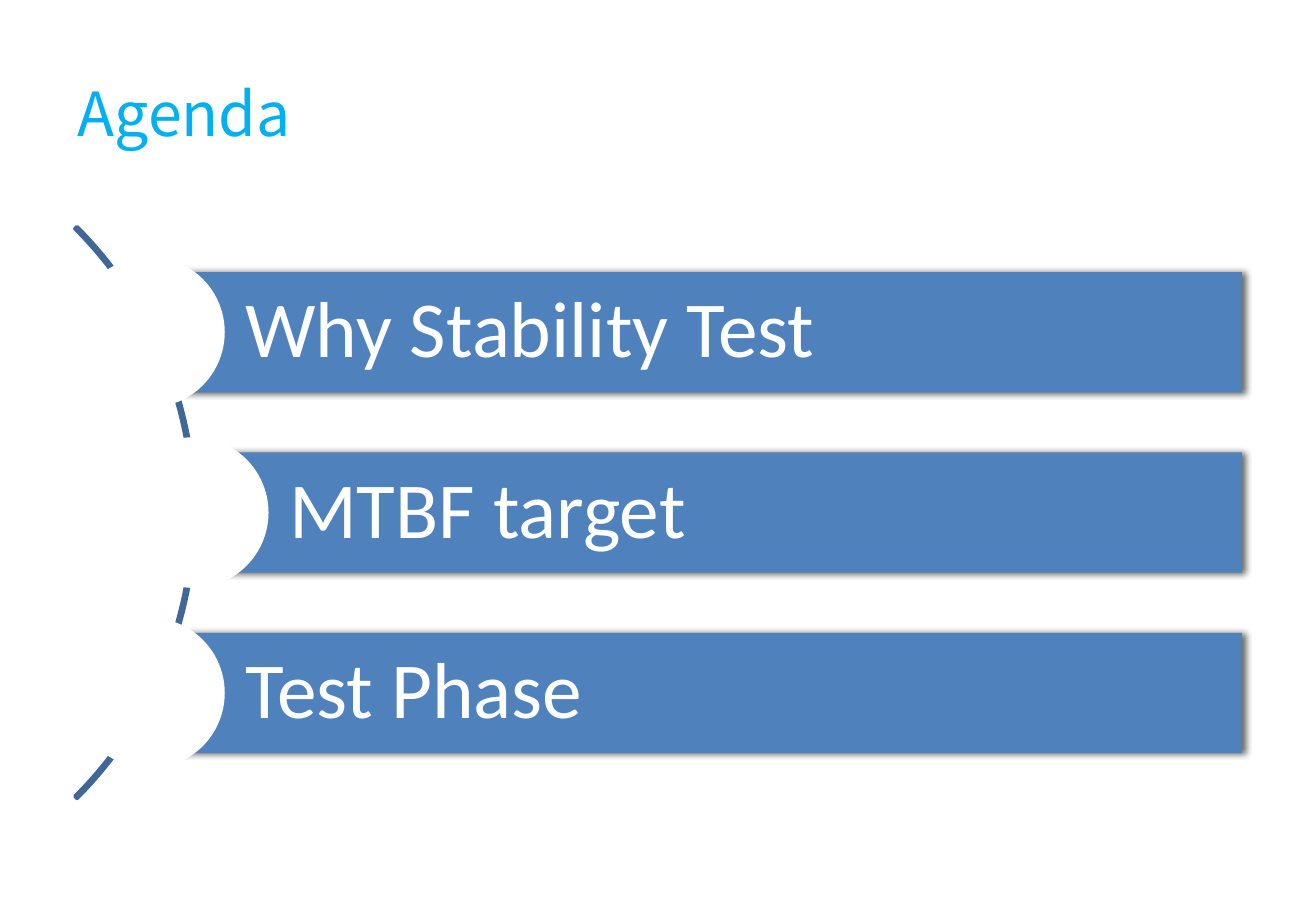
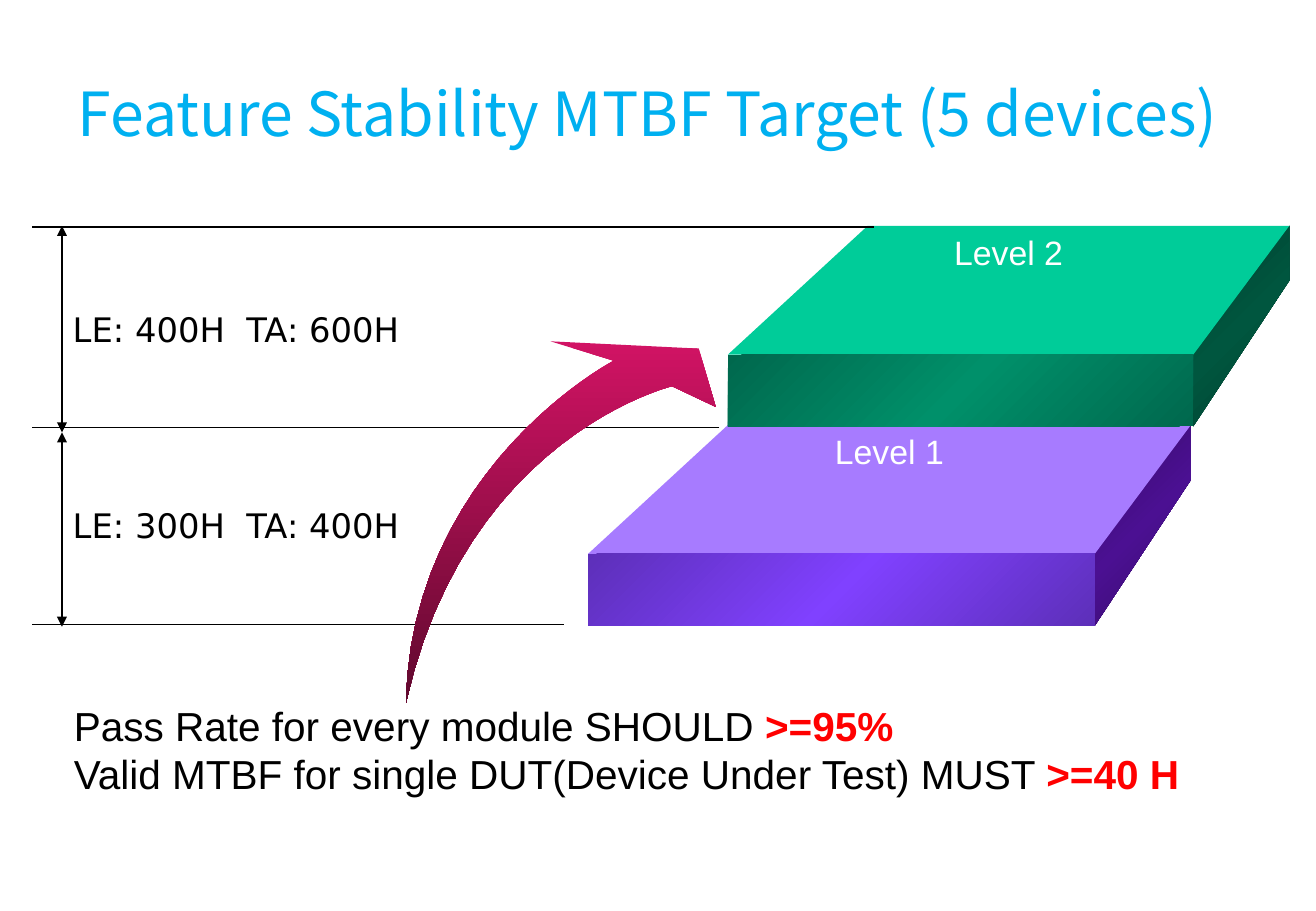
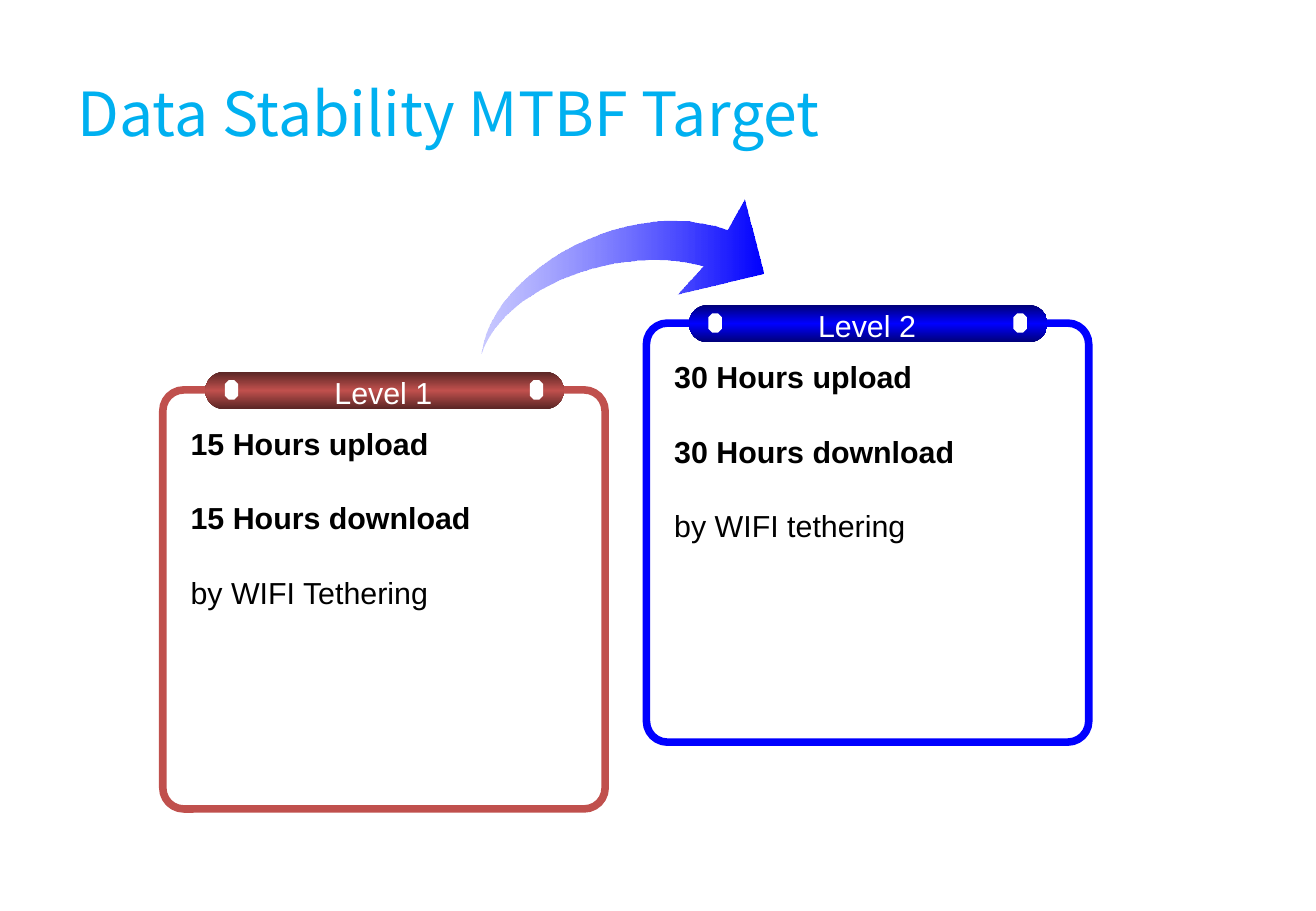
from dataclasses import dataclass
from typing import NamedTuple, Optional, Sequence

import pptx
import pptx.dml.color
import pptx.enum.shapes
import pptx.enum.text
import pptx.oxml
import pptx.oxml.ns
import pptx.util

ALIGN = pptx.enum.text.PP_ALIGN
ANCHOR = pptx.enum.text.MSO_ANCHOR
SHAPE = pptx.enum.shapes.MSO_SHAPE
TITLE_ONLY = 5

SLIDE_WIDTH = pptx.util.Inches(10.83)
SLIDE_HEIGHT = pptx.util.Inches(7.5)
ROWS = 75
CELL = SLIDE_HEIGHT / ROWS  # square grid cell: all lengths count cells


@dataclass(frozen=True)
class Theme:
    title_font: str = "Noto Sans CJK SC"
    agenda_font: str = "Calibri"
    body_font: str = "Arial"
    hours_font: str = "DejaVu Sans"
    title_size: int = 36
    agenda_size: int = 47
    note_size: int = 24
    level_size: int = 20
    card_size: int = 18
    title: str = "00B0F0"
    bar: str = "4F81BD"
    arc: str = "3F6797"
    white: str = "FFFFFF"
    black: str = "000000"
    alert: str = "FF0000"


THEME = Theme()


class Point(NamedTuple):
    x: float
    y: float


class Box(NamedTuple):
    left: float
    top: float
    width: float
    height: float


class Insets(NamedTuple):
    left: float = 1
    top: float = 0.5
    right: float = 1
    bottom: float = 0.5


class Run(NamedTuple):
    text: str
    bold: bool = False
    color: Optional[str] = None


class Stop(NamedTuple):
    position: int
    color: str
    opacity: int = 100


class Gradient(NamedTuple):
    stops: tuple[Stop, ...]
    angle: int


Fill = Optional[str | Gradient]
Paragraphs = Sequence[Sequence[Run]]


@dataclass(frozen=True)
class AgendaItem:
    text: str
    left: float


@dataclass(frozen=True)
class Slab:
    """A step of the staircase; left and top are those of its front face."""
    label: str
    left: float
    top: float
    width: float
    surface: str
    front: Gradient
    side: Gradient


@dataclass(frozen=True)
class Card:
    label: str
    left: float
    top: float
    color: str
    bar_edge: str
    lines: tuple[Run, ...]


@dataclass(frozen=True)
class CurvedArrow:
    """Tail and head points, with the control points of both long edges."""
    tail: Point
    outer: tuple[Point, Point, Point]
    head: tuple[Point, Point, Point]
    inner: tuple[Point, Point, Point]
    fill: Gradient


def cells(count: float) -> pptx.util.Emu:
    return pptx.util.Emu(round(count * CELL))


def rgb(color: str) -> pptx.dml.color.RGBColor:
    return pptx.dml.color.RGBColor.from_string(color)


def sheen(edge: str, middle: str, angle: int) -> Gradient:
    return Gradient((Stop(0, edge), Stop(50, middle), Stop(100, edge)), angle)


def xml(markup: str):
    """Build an element from markup whose first tag lacks its namespace."""
    tag, rest = markup.split(">", 1) if not markup.endswith("/>") else (markup[:-2], None)
    declared = f"{tag} {pptx.oxml.ns.nsdecls('a')}"
    return pptx.oxml.parse_xml(declared + ("/>" if rest is None else ">" + rest))


def write_text(frame, paragraphs: Paragraphs, *, font: str, size: float, color: str,
               align=ALIGN.LEFT, anchor=ANCHOR.TOP, wrap: bool = True,
               insets: Insets = Insets(), gap: float = 0, spacing: float = 1) -> None:
    frame.word_wrap = wrap
    frame.vertical_anchor = anchor
    frame.margin_left, frame.margin_top, frame.margin_right, frame.margin_bottom = map(cells, insets)
    for index, runs in enumerate(paragraphs):
        paragraph = frame.add_paragraph() if index else frame.paragraphs[0]
        paragraph.alignment = align
        paragraph.line_spacing = spacing
        paragraph.space_before = pptx.util.Pt(gap if index else 0)
        for part in runs:
            run = paragraph.add_run()
            run.text = part.text
            run.font.name = font
            run.font.size = pptx.util.Pt(size)
            run.font.bold = part.bold
            run.font.color.rgb = rgb(part.color or color)


def add_text(slide, box: Box, paragraphs: Paragraphs, **text_format) -> None:
    frame = slide.shapes.add_textbox(*map(cells, box)).text_frame
    write_text(frame, paragraphs, **text_format)


def paint(shape, fill: Fill, line: Optional[str] = None, line_width: float = 1) -> None:
    shape.shadow.inherit = False
    if isinstance(fill, Gradient):
        shape.fill.gradient()
        stops = "".join(
            f'<a:gs pos="{stop.position * 1000}"><a:srgbClr val="{stop.color}">'
            f'<a:alpha val="{stop.opacity * 1000}"/></a:srgbClr></a:gs>'
            for stop in fill.stops)
        properties = shape._element.spPr
        properties.replace(
            properties.find(pptx.oxml.ns.qn("a:gradFill")),
            xml(f'<a:gradFill><a:gsLst>{stops}</a:gsLst>'
                f'<a:lin ang="{fill.angle * 60000}" scaled="0"/></a:gradFill>'))
    elif fill:
        shape.fill.solid()
        shape.fill.fore_color.rgb = rgb(fill)
    else:
        shape.fill.background()
    if line:
        shape.line.color.rgb = rgb(line)
        shape.line.width = pptx.util.Pt(line_width)
    else:
        shape.line.fill.background()


def add_preset(slide, kind, box: Box, fill: Fill, adjustments: Sequence[float] = (),
               line: Optional[str] = None, line_width: float = 1):
    shape = slide.shapes.add_shape(kind, *map(cells, box))
    for index, value in enumerate(adjustments):
        shape.adjustments[index] = value
    paint(shape, fill, line, line_width)
    return shape


def add_outline(slide, points: Sequence[Point], fill: Fill):
    corners = [(cells(point.x), cells(point.y)) for point in points]
    builder = slide.shapes.build_freeform(*corners[0])
    builder.add_line_segments(corners[1:], close=True)
    shape = builder.convert_to_shape()
    paint(shape, fill)
    return shape


def add_line(slide, start: Point, end: Point, arrows: bool = False) -> None:
    line = slide.shapes.add_connector(
        pptx.enum.shapes.MSO_CONNECTOR.STRAIGHT, *map(cells, (*start, *end)))
    line.line.color.rgb = rgb(THEME.black)
    line.line.width = pptx.util.Pt(0.75)
    if arrows:
        for end_tag in ("headEnd", "tailEnd"):
            line.line._get_or_add_ln().append(xml(f'<a:{end_tag} type="triangle"/>'))
    line._element.spPr.append(xml("<a:effectLst/>"))


def curve(controls: Sequence[Point], steps: int = 24) -> list[Point]:
    """Sample a cubic Bezier curve, both ends included."""
    def at(share: float) -> Point:
        rest = 1 - share
        weights = (rest ** 3, 3 * rest ** 2 * share, 3 * rest * share ** 2, share ** 3)
        return Point(sum(w * p.x for w, p in zip(weights, controls)),
                     sum(w * p.y for w, p in zip(weights, controls)))
    return [at(step / steps) for step in range(steps + 1)]


def add_curved_arrow(slide, arrow: CurvedArrow) -> None:
    outer = curve((arrow.tail, *arrow.outer))
    inner = curve((arrow.tail, *arrow.inner))
    add_outline(slide, [*outer, *arrow.head, *reversed(inner[1:])], arrow.fill)


def add_titled_slide(deck, title: str):
    slide = deck.slides.add_slide(deck.slide_layouts[TITLE_ONLY])
    heading = slide.shapes.title
    heading.left, heading.top, heading.width, heading.height = map(cells, Box(5.4, 3, 97.5, 12.5))
    write_text(heading.text_frame, [[Run(title)]], font=THEME.title_font,
               size=THEME.title_size, color=THEME.title, anchor=ANCHOR.MIDDLE)
    return slide


AGENDA = (AgendaItem("Why Stability Test", 12.3), AgendaItem("MTBF target", 15.9),
          AgendaItem("Test Phase", 12.3))


def build_agenda(deck) -> None:
    first_top, pitch, height, right, knob = 22.4, 14.85, 9.9, 102.2, 12.4
    slide = add_titled_slide(deck, "Agenda")
    add_preset(slide, SHAPE.BLOCK_ARC, Box(-50.5, 8.9, 66.6, 66.6), None,
               (189, 27, 0.004), THEME.arc, 2)
    for index, item in enumerate(AGENDA):
        top = first_top + index * pitch
        bar = add_preset(slide, SHAPE.RECTANGLE,
                         Box(item.left, top, right - item.left, height), THEME.bar)
        bar._element.spPr.find(pptx.oxml.ns.qn("a:effectLst")).append(xml(
            '<a:outerShdw blurRad="50800" dist="25400" dir="0" rotWithShape="0">'
            '<a:srgbClr val="000000"><a:alpha val="60000"/></a:srgbClr></a:outerShdw>'))
        write_text(bar.text_frame, [[Run(item.text)]], font=THEME.agenda_font,
                   size=THEME.agenda_size, color=THEME.white, anchor=ANCHOR.MIDDLE,
                   insets=Insets(7.9, 1.3, 1.3, 1.3), spacing=0.9)
        add_preset(slide, SHAPE.OVAL, Box(item.left - knob / 2, top + (height - knob) / 2,
                                          knob, knob), THEME.white)


SLABS = (
    Slab("Level 2", 59.9, 29.2, 38.3, "00CC99",
         sheen("00684D", "00906A", 45), sheen("003E2D", "00563F", 45)),
    Slab("Level 1", 48.4, 45.6, 41.7, "A77BFF",
         sheen("5D2FB9", "8041FF", 45), sheen("360B68", "4B1092", 45)),
)
SLAB_RISE, SLAB_LEFT_SHIFT, SLAB_RIGHT_SHIFT = 10.6, 11.5, 7.9
SLAB_FRONT, SLAB_BACK = 5.9, 4.5

TARGET_ARROW = CurvedArrow(
    tail=Point(33.4, 57.9),
    outer=(Point(33.8, 38.5), Point(50.5, 29.7), Point(50.5, 29.7)),
    head=(Point(45.3, 28.1), Point(57.5, 28.7), Point(58.9, 33.5)),
    inner=(Point(38.3, 35.9), Point(55.3, 31.8), Point(55.3, 31.8)),
    fill=Gradient((Stop(0, "D11364"), Stop(100, "60092E")), 90))


def add_slab_back(slide, slab: Slab) -> None:
    """Draw the side and the labelled top face."""
    right, back = slab.left + slab.width, slab.top - SLAB_RISE
    back_right = right + SLAB_RIGHT_SHIFT
    add_outline(slide, [Point(back_right, back + SLAB_BACK),
                        Point(right, slab.top + SLAB_FRONT),
                        Point(right, slab.top), Point(back_right, back)], slab.side)
    surface = add_outline(slide, [Point(right, slab.top), Point(slab.left, slab.top),
                                  Point(slab.left + SLAB_LEFT_SHIFT, back),
                                  Point(back_right, back)], slab.surface)
    write_text(surface.text_frame, [[Run(slab.label)]], font=THEME.body_font,
               size=THEME.level_size, color=THEME.white, align=ALIGN.CENTER)


def build_feature_target(deck) -> None:
    slide = add_titled_slide(deck, "Feature Stability MTBF Target (5 devices)")
    for slab in SLABS:
        add_slab_back(slide, slab)
    ruler_left, scale_x = 2.6, 5.1
    ruler_rows = (18.7, 35.2, 51.4)
    for row, ruler_right in zip(ruler_rows, (71.9, 59.2, 46.4)):
        add_line(slide, Point(ruler_right, row), Point(ruler_left, row))
    scale_rows = (18.6, 35.6, 51.6)
    for top, bottom in zip(scale_rows, scale_rows[1:]):
        add_line(slide, Point(scale_x, top), Point(scale_x, bottom), arrows=True)
    add_curved_arrow(slide, TARGET_ARROW)
    for slab in SLABS:
        add_preset(slide, SHAPE.RECTANGLE,
                   Box(slab.left, slab.top, slab.width, SLAB_FRONT), slab.front)
    for top, hours in ((24.9, "LE: 400H  TA: 600H"), (41.1, "LE: 300H  TA: 400H")):
        add_text(slide, Box(5, top, 34.5, 5.8), [[Run(hours)]], font=THEME.hours_font,
                 size=THEME.level_size, color=THEME.black, wrap=False)
    add_text(slide, Box(5.1, 57.2, 94.8, 9.1), [
        [Run("Pass Rate for every module SHOULD "), Run(">=95%", True, THEME.alert)],
        [Run("Valid MTBF for single DUT(Device Under Test) MUST "),
         Run(">=40 H", True, THEME.alert)],
    ], font=THEME.body_font, size=THEME.note_size, color=THEME.black)


CARDS = (
    Card("Level 1", 13.4, 32.1, "C0504D", "582524",
         (Run("15 Hours upload", True), Run("15 Hours download", True),
          Run("by WIFI Tethering"))),
    Card("Level 2", 53.2, 26.6, "0000FF", "000076",
         (Run("30 Hours upload", True), Run("30 Hours download", True),
          Run("by WIFI tethering"))),
)

LEVEL_ARROW = CurvedArrow(
    tail=Point(39.6, 29.1),
    outer=(Point(40.5, 22), Point(52, 16), Point(59.8, 18.9)),
    head=(Point(61.2, 16.4), Point(62.8, 22.5), Point(55.7, 24.2)),
    inner=(Point(41.5, 23.5), Point(51, 20), Point(57.8, 21.9)),
    fill=Gradient((Stop(0, "5A5AFF", 32), Stop(100, "0000FF")), 0))


def add_card(slide, card: Card) -> None:
    def inside(left: float, top: float, width: float, height: float) -> Box:
        return Box(card.left + left, card.top + top, width, height)

    add_preset(slide, SHAPE.ROUNDED_RECTANGLE, inside(0, 0, 36.4, 34.5), None,
               (0.05,), card.color, 4.5)
    add_preset(slide, SHAPE.ROUNDED_RECTANGLE, inside(3.5, -1.5, 29.5, 3.1),
               sheen(card.bar_edge, card.color, 90), (0.5,))
    for rivet_left in (5.1, 30.2):
        add_preset(slide, SHAPE.OCTAGON, inside(rivet_left, -0.8, 1.1, 1.6),
                   THEME.white, (0.29,))
    card_text = dict(font=THEME.body_font, size=THEME.card_size)
    add_text(slide, inside(13.1, -1.8, 10.1, 4), [[Run(card.label)]], color=THEME.white,
             align=ALIGN.CENTER, wrap=False, **card_text)
    add_text(slide, inside(1.3, 2.4, 33.8, 16.2), [[line] for line in card.lines],
             color=THEME.black, gap=22.5, **card_text)


def build_data_target(deck) -> None:
    slide = add_titled_slide(deck, "Data Stability MTBF Target")
    add_curved_arrow(slide, LEVEL_ARROW)
    for card in CARDS:
        add_card(slide, card)


def main() -> None:
    deck = pptx.Presentation()
    deck.slide_width, deck.slide_height = SLIDE_WIDTH, SLIDE_HEIGHT
    build_agenda(deck)
    build_feature_target(deck)
    build_data_target(deck)
    deck.save("out.pptx")


if __name__ == "__main__":
    main()
